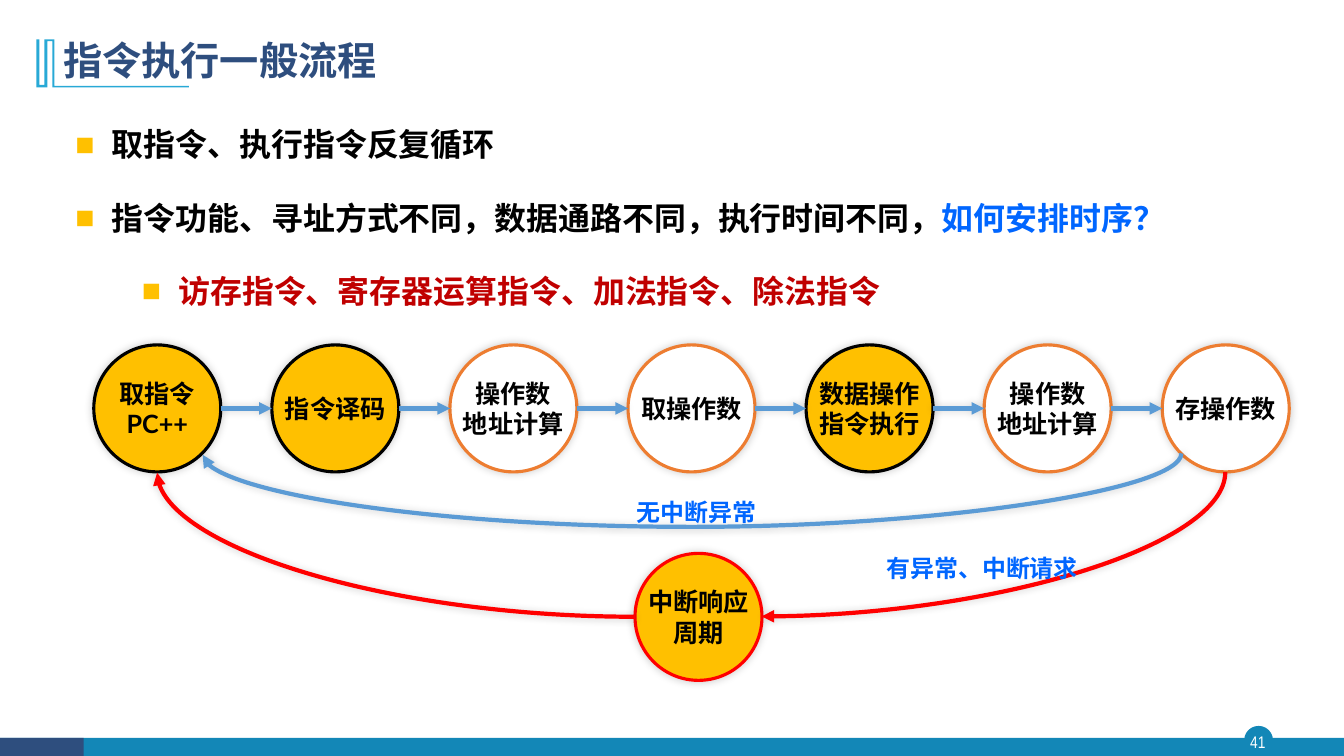
from lxml import etree
from pptx import Presentation
from pptx.dml.color import RGBColor
from pptx.enum import shapes, text
from pptx.oxml import ns
from pptx.util import Pt

COLORS = {
    "navy": "2E4E7E", "teal": "1387B7", "sky": "28A9D6", "white": "FFFFFF",
    "black": "000000", "gold": "FFC000", "orange": "ED7D31", "red": "FF0000",
    "dark_red": "C00000", "link": "0066FF", "arrow": "5B9BD5",
}
CJK, LATO = "Noto Sans CJK SC", "Lato"
DIAMETER, PITCH, ROW_LEFT, ROW_TOP = 90.7, 127.2, 67, 246.4
STEPS = [
    ("取指令\nPC++", True), ("指令译码", True), ("操作数\n地址计算", False),
    ("取操作数", False), ("数据操作\n指令执行", True),
    ("操作数\n地址计算", False), ("存操作数", False),
]
BULLETS = [
    (0, [("取指令、执行指令反复循环", "black")]),
    (0, [("指令功能、寻址方式不同，数据通路不同，执行时间不同，", "black"),
         ("如何安排时序？", "link")]),
    (1, [("访存指令、寄存器运算指令、加法指令、除法指令", "dark_red")]),
]


def rgb(name):
    return RGBColor.from_string(COLORS[name])


def add_xml(parent, tag, **attrs):
    el = etree.SubElement(parent, ns.qn(tag))
    for key, value in attrs.items():
        el.set(key, str(value))
    return el


def add_soft_shadow(sp):
    effects = add_xml(sp._element.spPr, "a:effectLst")
    shadow = add_xml(effects, "a:outerShdw", blurRad=Pt(6), dist=0,
                     dir=315 * 60000, algn="ctr", rotWithShape=0)
    color = add_xml(shadow, "a:srgbClr", val=COLORS["black"])
    add_xml(color, "a:alpha", val=20000)


def style_run(r, size, font, color, bold=True):
    r.font.size, r.font.name, r.font.bold = Pt(size), font, bold
    r.font.color.rgb = rgb(color)
    add_xml(r._r.get_or_add_rPr(), "a:ea", typeface=font)


def add_filled(s, kind, x, y, w, h, fill, line=None, weight=1):
    sp = s.shapes.add_shape(kind, Pt(x), Pt(y), Pt(w), Pt(h))
    sp.fill.solid()
    sp.fill.fore_color.rgb = rgb(fill)
    if line:
        sp.line.color.rgb = rgb(line)
        sp.line.width = Pt(weight)
    else:
        sp.line.fill.background()
    return sp


def add_text(s, x, y, w, h, words, size, font, color, bold=True, wrap=True):
    tf = s.shapes.add_textbox(Pt(x), Pt(y), Pt(w), Pt(h)).text_frame
    tf.word_wrap = wrap
    tf.text = words
    style_run(tf.paragraphs[0].runs[0], size, font, color, bold)
    return tf


def add_label(s, x, y, w, words):
    tf = add_text(s, x, y, w, 38, words, 17.1, LATO, "link", wrap=False)
    tf.paragraphs[0].line_spacing = 1.5


def add_step(s, x, y, words, fill, line):
    sp = add_filled(s, shapes.MSO_SHAPE.OVAL, x, y, DIAMETER, DIAMETER,
                    fill, line, 2.25)
    sp.shadow.inherit = False
    sp._element.spPr.remove(sp._element.spPr.find(ns.qn("a:effectLst")))
    add_soft_shadow(sp)
    tf = sp.text_frame
    tf.word_wrap = False
    tf.vertical_anchor = text.MSO_ANCHOR.MIDDLE
    tf.text = words
    for p in tf.paragraphs:
        p.alignment = text.PP_ALIGN.CENTER
        style_run(p.runs[0], 18, LATO, "black")


def add_arrow(s, kind, x1, y1, x2, y2, color):
    line = s.shapes.add_connector(kind, Pt(x1), Pt(y1), Pt(x2), Pt(y2))
    line.line.color.rgb = rgb(color)
    line.line.width = Pt(3)
    add_xml(line.line._get_or_add_ln(), "a:tailEnd", type="triangle")
    add_soft_shadow(line)
    return line


def add_curve(s, x1, y1, x2, y2, color, preset, turn=0, bend=None):
    """Curved arrow; turn rotates its frame clockwise, bend is the adjustment."""
    line = add_arrow(s, shapes.MSO_CONNECTOR.CURVE, x1, y1, x2, y2, color)
    spPr = line._element.spPr
    if turn:
        spPr.find(ns.qn("a:xfrm")).set("rot", str(turn * 60000))
    geom = spPr.find(ns.qn("a:prstGeom"))
    geom.set("prst", preset)
    if bend:
        guides = geom.find(ns.qn("a:avLst"))
        if guides is None:
            guides = add_xml(geom, "a:avLst")
        add_xml(guides, "a:gd", name="adj1", fmla=f"val {bend}")


def add_frame(s):
    oval, rect = shapes.MSO_SHAPE.OVAL, shapes.MSO_SHAPE.RECTANGLE
    for bar in [(oval, 889.2, 519, 19.6, 19.6, "teal", "teal"),
                (rect, 0, 527, 960, 13, "teal"),
                (rect, 0, 527, 59.8, 13, "navy")]:
        add_filled(s, *bar).shadow.inherit = False
    tf = add_text(s, 887, 519, 23, 22.3, "41", 12, "Arial Narrow", "white", False)
    tf.margin_left = tf.margin_right = tf.margin_top = tf.margin_bottom = 0
    tf.vertical_anchor = text.MSO_ANCHOR.MIDDLE
    tf.paragraphs[0].alignment = text.PP_ALIGN.CENTER

    outline = [(38.9, 28.1), (38.9, 61.4), (135, 61.4), (135, 62.4),
               (37.4, 62.4), (37.4, 29.5), (33.8, 29.5), (33.8, 62.4),
               (25.9, 62.4), (25.9, 28.1), (28.1, 28.1), (28.1, 60.7),
               (31.7, 60.7), (31.7, 28.1)]
    points = [(Pt(x), Pt(y)) for x, y in outline]
    builder = s.shapes.build_freeform(*points[0])
    builder.add_line_segments(points[1:], close=True)
    sp = builder.convert_to_shape()
    sp.fill.solid()
    sp.fill.fore_color.rgb = rgb("sky")
    sp.line.fill.background()
    sp.shadow.inherit = False


def add_bullets(s):
    tf = s.shapes.add_textbox(Pt(46.8), Pt(72), Pt(851), Pt(155.5)).text_frame
    tf.word_wrap = True
    for i, (level, parts) in enumerate(BULLETS):
        p = tf.add_paragraph() if i else tf.paragraphs[0]
        p.level = level
        p.line_spacing = 1.5
        p.space_before, p.space_after = Pt(5.7 if i else 0), Pt(5.7)
        pPr = p._p.get_or_add_pPr()
        pPr.set("marL", str(Pt(26 + 47.5 * level)))
        pPr.set("indent", str(Pt(-26)))
        add_xml(add_xml(pPr, "a:buClr"), "a:srgbClr", val=COLORS["gold"])
        add_xml(pPr, "a:buFont", typeface="Arial")
        add_xml(pPr, "a:buChar", char="■")
        for words, color in parts:
            r = p.add_run()
            r.text = words
            style_run(r, 22.8, CJK, color)


def add_flow(s):
    middle = ROW_TOP + DIAMETER / 2
    for i, (words, always) in enumerate(STEPS):
        x = ROW_LEFT + i * PITCH
        fill, line = ("gold", "black") if always else ("white", "orange")
        add_step(s, x, ROW_TOP, words, fill, line)
        if i:
            add_arrow(s, shapes.MSO_CONNECTOR.STRAIGHT,
                      x - PITCH + DIAMETER, middle, x, middle, "arrow")
    add_curve(s, 493.8, -25.2, 494.8, 673.9, "arrow", "curvedConnector3",
              90, 5288900)
    add_label(s, 447.8, 341.3, 100.8, "无中断异常")
    add_step(s, 453.6, 395.3, "中断响应\n周期", "gold", "red")
    add_curve(s, 658.1, 223.2, 761.1, 554.4, "red", "curvedConnector2", 90)
    add_curve(s, 453.6, 440.6, 112.3, 337.7, "red", "curvedConnector2")
    add_label(s, 626.4, 381.6, 152.6, "有异常、中断请求")


def main():
    prs = Presentation()
    prs.slide_width, prs.slide_height = Pt(960), Pt(540)
    s = prs.slides.add_slide(prs.slide_layouts[6])
    add_frame(s)
    tf = add_text(s, 38.2, 20.2, 828, 49, "指令执行一般流程", 28, CJK, "navy")
    tf.vertical_anchor = text.MSO_ANCHOR.MIDDLE
    tf.paragraphs[0].line_spacing = 0.9
    add_bullets(s)
    add_flow(s)
    prs.save("out.pptx")


if __name__ == "__main__":
    main()
